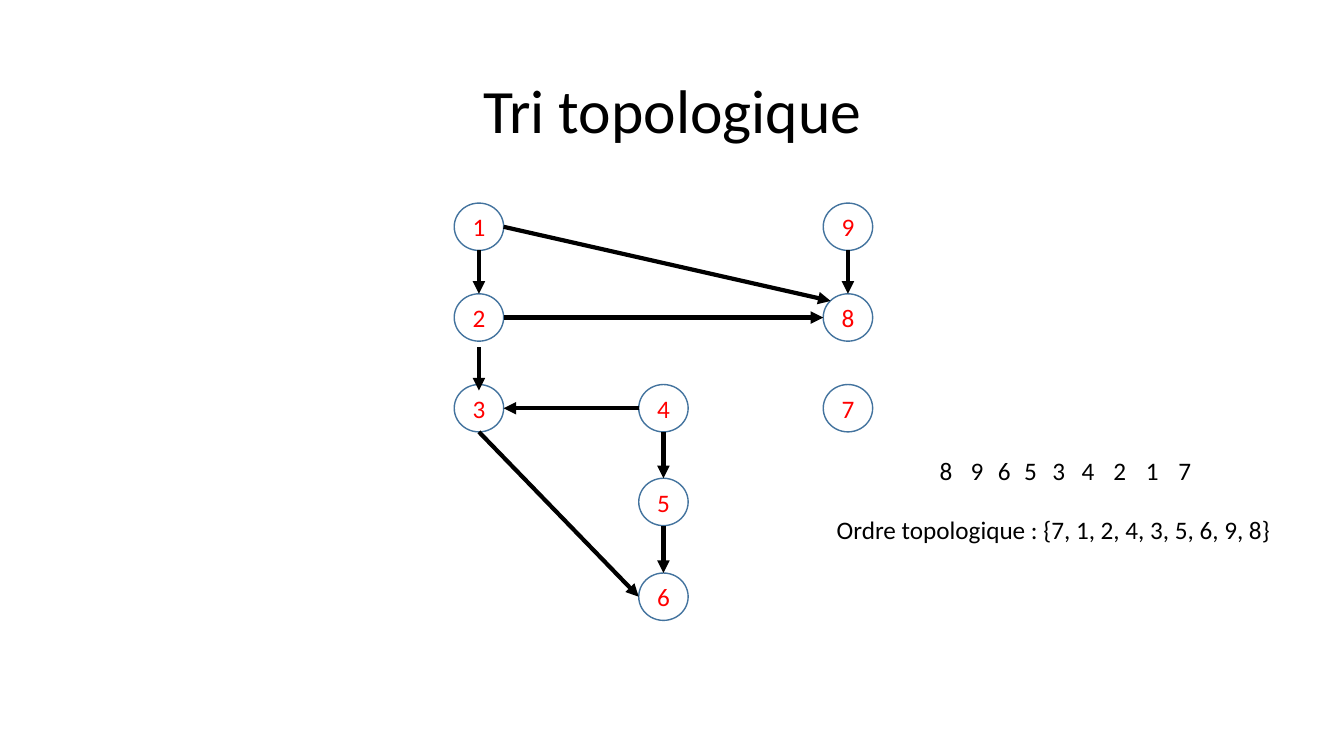
from lxml import etree
from pptx import Presentation
from pptx.dml.color import RGBColor
from pptx.enum.shapes import MSO_CONNECTOR, MSO_SHAPE
from pptx.enum.text import MSO_ANCHOR, MSO_AUTO_SIZE, PP_ALIGN
from pptx.oxml.ns import qn
from pptx.util import Inches, Pt

OVAL = MSO_SHAPE.OVAL
LINE = MSO_CONNECTOR.STRAIGHT
MID, TOP = MSO_ANCHOR.MIDDLE, MSO_ANCHOR.TOP
MED, LEFT = PP_ALIGN.CENTER, PP_ALIGN.LEFT
GROW, FIXED = MSO_AUTO_SIZE.SHAPE_TO_FIT_TEXT, MSO_AUTO_SIZE.NONE

HUES = {"ink": "000000", "rim": "43739E", "face": "FFFFFF", "key": "FF0000"}
COLS = [4.75 + 1.83 * i for i in range(3)]
ROWS = [2.25 + 0.9 * i for i in range(3)] + [4.98, 5.92]
WIDE, HIGH = 0.49, 0.47
SIDES = {"n": (0, -0.5), "s": (0, 0.5), "e": (0.5, 0), "w": (-0.5, 0),
         "nw": (-0.35, -0.35)}
NODES = {"1": (0, 0), "2": (0, 1), "3": (0, 2), "4": (1, 2), "5": (1, 3),
         "6": (1, 4), "7": (2, 2), "8": (2, 1), "9": (2, 0)}
EDGES = [("1", "e", "8", "nw", 0), ("2", "e", "8", "w", 0),
         ("1", "s", "2", "n", 0), ("9", "s", "8", "n", 0),
         ("2", "s", "3", "n", 0.06), ("3", "s", "6", "w", 0),
         ("4", "w", "3", "e", 0), ("4", "s", "5", "n", 0),
         ("5", "s", "6", "n", 0)]
VISITS = [("8", 9.22, 0.27), ("9", 9.53, 0.27), ("6", 9.8, 0.27),
          ("5", 10.06, 0.27), ("3", 10.34, 0.27), ("4", 10.63, 0.27),
          ("2", 10.97, 0.17), (" 1 ", 11.21, 0.47), ("7", 11.59, 0.36)]


def hue(name):
    """Return a named colour."""
    return RGBColor.from_string(HUES[name])


def apply(item, form):
    """Set each attribute named in a dict."""
    for name, value in form.items():
        setattr(item, name, value)


def write(shape, text, size=18, tone="ink", align=LEFT, anchor=TOP, fit=FIXED):
    """Put one formatted paragraph in a shape."""
    frame = shape.text_frame
    apply(frame, {"text": text, "word_wrap": True, "auto_size": fit,
                  "vertical_anchor": anchor})
    para = frame.paragraphs[0]
    para.alignment = align
    font = para.runs[0].font
    apply(font, {"name": "Calibri", "size": Pt(size)})
    font.color.rgb = hue(tone)
    return para


def title(slide, text):
    """Place and fill the title."""
    shape = slide.shapes.title
    box = {"left": 0.92, "top": 0.4, "width": 11.5, "height": 1.45}
    apply(shape, {name: Inches(value) for name, value in box.items()})
    write(shape, text, 44, align=MED, anchor=MID).line_spacing = 0.9


def node(slide, text):
    """Draw a numbered vertex on its grid cell."""
    col, row = NODES[text]
    box = COLS[col] - WIDE / 2, ROWS[row] - HIGH / 2, WIDE, HIGH
    shape = slide.shapes.add_shape(OVAL, *map(Inches, box))
    shape.shadow.inherit = False
    shape.fill.solid()
    shape.fill.fore_color.rgb = hue("face")
    shape.line.color.rgb = hue("rim")
    shape.line.width = Pt(1)
    write(shape, text, tone="key", align=MED, anchor=MID)


def port(name, side):
    """Return the point on one side of a vertex."""
    col, row = NODES[name]
    across, down = SIDES[side]
    return COLS[col] + across * WIDE, ROWS[row] + down * HIGH


def edge(slide, tail, out, head, into, drop):
    """Draw an arrow between two vertices."""
    (x1, y1), (x2, y2) = port(tail, out), port(head, into)
    ends = x1, y1 + drop, x2, y2 + drop
    link = slide.shapes.add_connector(LINE, *map(Inches, ends))
    link.line.color.rgb = hue("ink")
    link.line.width = Pt(3)
    etree.SubElement(link.line._get_or_add_ln(), qn("a:tailEnd"), type="triangle")
    etree.SubElement(link._element.spPr, qn("a:effectLst"))


def label(slide, text, left, top, width):
    """Add a text box that grows with its text."""
    box = slide.shapes.add_textbox(*map(Inches, (left, top, width, 0.4)))
    write(box, text, fit=GROW)


def main():
    """Build and save the slide."""
    deck = Presentation()
    apply(deck, {"slide_width": Inches(13.33), "slide_height": Inches(7.5)})
    slide = deck.slides.add_slide(deck.slide_layouts[5])
    title(slide, "Tri topologique")
    for name in NODES:
        node(slide, name)
    for link in EDGES:
        edge(slide, *link)
    for text, left, width in VISITS:
        label(slide, text, left, 4.47, width)
    label(slide, "Ordre topologique : {7, 1, 2, 4, 3, 5, 6, 9, 8}", 8.2, 5.05, 5.72)
    deck.save("out.pptx")


main()
